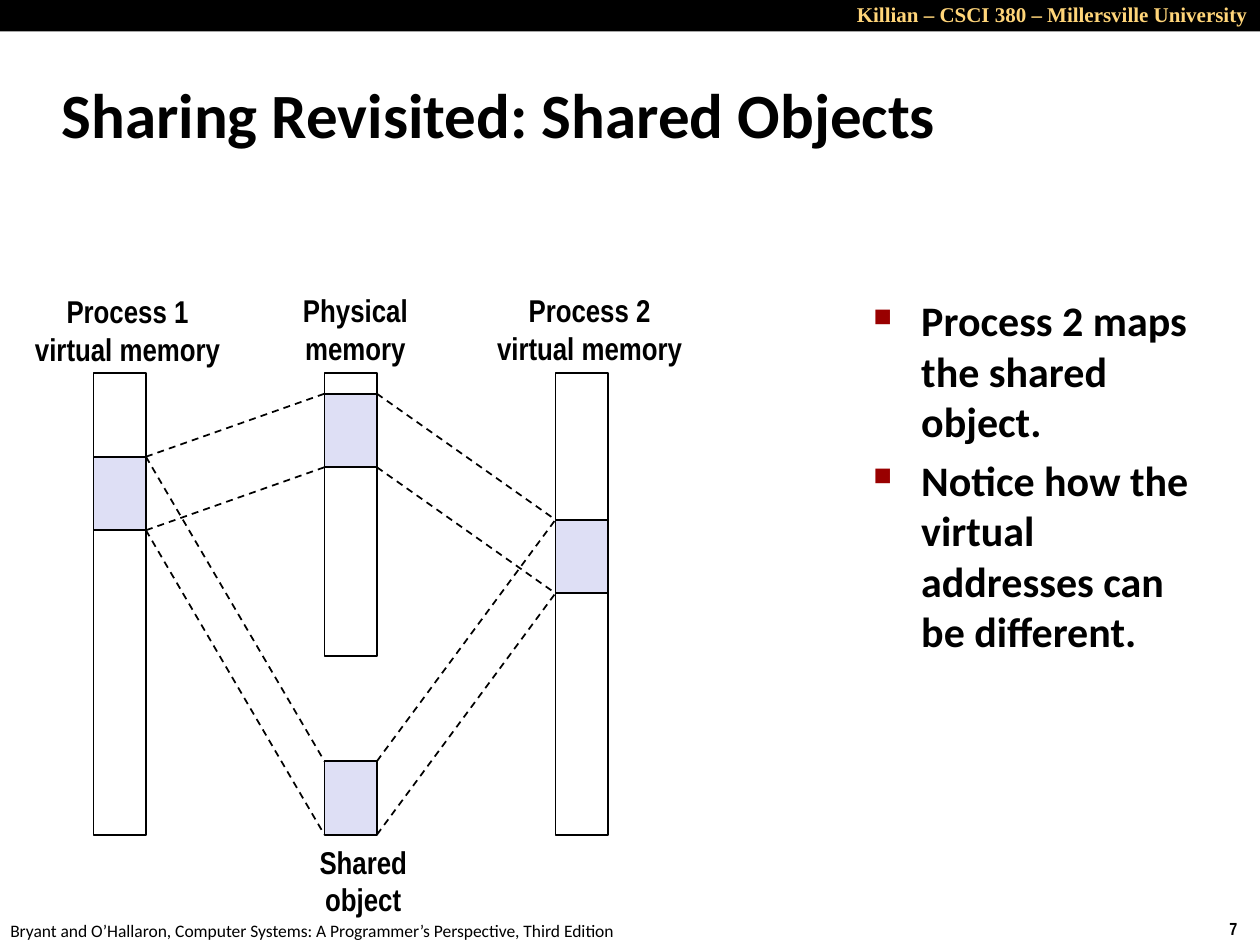
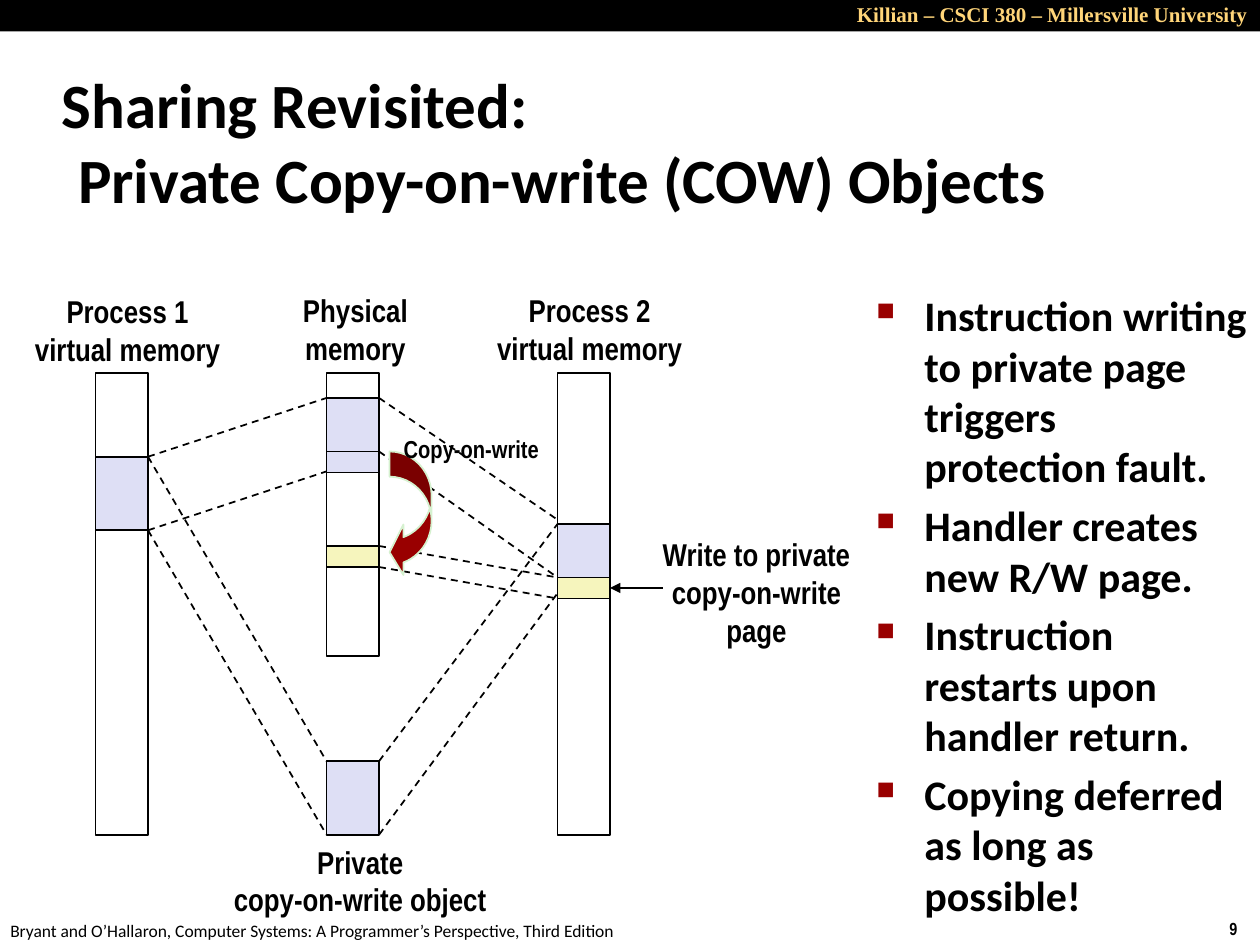
from dataclasses import dataclass
from typing import NamedTuple

from lxml import etree
from pptx import Presentation
from pptx import util as u
from pptx.dml.color import RGBColor
from pptx.enum import dml, shapes, text
from pptx.oxml import ns

# Colours and fonts
BLACK = RGBColor(0x00, 0x00, 0x00)
GOLD = RGBColor(0xFF, 0xD5, 0x79)
LILAC = RGBColor(0xDE, 0xDF, 0xF5)
YELLOW = RGBColor(0xF6, 0xF5, 0xBD)
DARK_RED = RGBColor(0x99, 0x00, 0x00)
PALE_GREEN = RGBColor(0xD5, 0xF1, 0xCF)
BODY_FONT, LABEL_FONT, HEADER_FONT = "Calibri", "Arial Narrow", "Times New Roman"

# Slide grid: 120 columns by 90 rows
SLIDE_WIDTH, SLIDE_HEIGHT = u.Inches(10), u.Inches(7.5)
CELL = SLIDE_WIDTH / 120

# Memory bars: three equal steps; rows inside them count from the bar top
BAR_TOP, BAR_WIDTH, BAR_STEP = 35.5, 5, 22
PROCESS_1, MIDDLE, PROCESS_2 = range(3)
BAR_HEIGHTS = {MIDDLE: 27, PROCESS_1: 44, PROCESS_2: 44}
REGION_ROWS, PAGE_ROWS, OBJECT_ROW = 7, 2, 37


class Box(NamedTuple):
    left: float
    top: float
    width: float
    height: float


class Label(NamedTuple):
    words: str
    box: Box
    size: int = 18


class Block(NamedTuple):
    bar: int
    row: float
    rows: float = REGION_ROWS
    color: RGBColor = LILAC


class Link(NamedTuple):
    """Dashed line from the right edge of one bar to the left edge of the next."""
    bar: int
    row: float
    next_row: float


@dataclass
class SharingSlide:
    number: int
    title: str
    title_rows: float
    bars_left: float
    blocks: list[Block]
    links: list[Link]
    labels: list[Label]
    points: list[str]
    points_box: Box
    copies_page: bool = False


COMMON_LABELS = [
    Label("Process 1\nvirtual memory", Box(2, 27.2, 20.3, 8.5)),
    Label("Physical\nmemory", Box(27.6, 27.1, 12.5, 8.5)),
    Label("Process 2\nvirtual memory", Box(46, 27.1, 20.3, 8.5)),
]

SLIDES = [
    SharingSlide(
        7, "Sharing Revisited: Shared Objects", 10, 8.9,
        blocks=[Block(MIDDLE, OBJECT_ROW), Block(MIDDLE, 2),
                Block(PROCESS_1, 8), Block(PROCESS_2, 14)],
        links=[Link(PROCESS_1, 8, 37), Link(PROCESS_1, 15, 44),
               Link(MIDDLE, 37, 14), Link(MIDDLE, 44, 21),
               Link(PROCESS_1, 8, 2), Link(PROCESS_1, 15, 9),
               Link(MIDDLE, 2, 14), Link(MIDDLE, 9, 21)],
        labels=[Label("Shared\nobject", Box(29.2, 79.6, 10.8, 8.5))],
        points=["Process 2 maps the shared object.",
                "Notice how the virtual addresses can be different."],
        points_box=Box(82, 27.5, 34.8, 60.5),
    ),
    SharingSlide(
        9, "Sharing Revisited:\vPrivate Copy-on-write (COW) Objects", 15.2, 9.1,
        blocks=[Block(MIDDLE, OBJECT_ROW), Block(MIDDLE, 2.4),
                Block(PROCESS_1, 8), Block(PROCESS_2, 14.4),
                Block(MIDDLE, 7.5, PAGE_ROWS),
                Block(PROCESS_2, 19.5, PAGE_ROWS, YELLOW),
                Block(MIDDLE, 16.5, PAGE_ROWS, YELLOW)],
        links=[Link(PROCESS_1, 8, 37), Link(PROCESS_1, 15, 44),
               Link(MIDDLE, 37, 14.4), Link(MIDDLE, 44, 21),
               Link(PROCESS_1, 8, 2.4), Link(PROCESS_1, 15, 9.4),
               Link(MIDDLE, 2.4, 14), Link(MIDDLE, 7.5, 19.5),
               Link(MIDDLE, 16.5, 19.5), Link(MIDDLE, 18.5, 21.5)],
        labels=[Label("Private\ncopy-on-write object", Box(20.9, 79.6, 26.8, 8.5)),
                Label("Copy-on-write", Box(37.2, 40.7, 15.4, 4.1), 14),
                Label("Write to private\ncopy-on-write\npage",
                      Box(61.8, 50.3, 20.5, 12.1))],
        points=["Instruction writing to private page triggers protection fault.",
                "Handler creates new R/W page.",
                "Instruction restarts upon handler return.",
                "Copying deferred as long as possible!"],
        points_box=Box(82.3, 27, 37.7, 59.2),
        copies_page=True,
    ),
]


def cells(*counts: float) -> list[u.Emu]:
    return [u.Emu(round(count * CELL)) for count in counts]


def add_block(slide, box: Box, fill: RGBColor | None = None,
              line: RGBColor | None = BLACK,
              kind=shapes.MSO_SHAPE.RECTANGLE):
    block = slide.shapes.add_shape(kind, *cells(*box))
    block.shadow.inherit = False
    if fill is None:
        block.fill.background()
    else:
        block.fill.solid()
        block.fill.fore_color.rgb = fill
    if line is None:
        block.line.fill.background()
    else:
        block.line.color.rgb = line
        block.line.width = u.Pt(1)
    return block


def add_words(slide, words: str, box: Box, size: float, font: str = BODY_FONT,
              color: RGBColor = BLACK, bold: bool = True, wrap: bool = True,
              align=text.PP_ALIGN.LEFT, anchor=text.MSO_ANCHOR.TOP):
    frame = slide.shapes.add_textbox(*cells(*box)).text_frame
    frame.word_wrap = wrap
    frame.vertical_anchor = anchor
    frame.text = words
    for paragraph in frame.paragraphs:
        paragraph.alignment = align
        for run in paragraph.runs:
            run.font.size = u.Pt(size)
            run.font.name = font
            run.font.bold = bold
            run.font.color.rgb = color
    return frame


def add_line(slide, start: tuple[float, float], end: tuple[float, float],
             arrow: bool = False) -> None:
    line = slide.shapes.add_connector(
        shapes.MSO_CONNECTOR.STRAIGHT, *cells(*start, *end))
    line.line.color.rgb = BLACK
    line.line.width = u.Pt(1)
    if arrow:
        etree.SubElement(line.line._get_or_add_ln(), ns.qn("a:tailEnd"), type="triangle")
    else:
        line.line.dash_style = dml.MSO_LINE.DASH
    etree.SubElement(line._element.spPr, ns.qn("a:effectLst"))


def hang(paragraph, indent: float):
    properties = paragraph._p.get_or_add_pPr()
    properties.set("marL", str(u.Inches(indent)))
    properties.set("indent", str(-u.Inches(indent)))
    return properties


def add_frame(slide, number: int) -> None:
    """Header band and footer shared by the slides."""
    add_block(slide, Box(0, 0, 120, 3), BLACK, None)
    add_words(slide, "Killian – CSCI 380 – Millersville University",
              Box(74, -0.4, 46, 3.6), 12, HEADER_FONT, GOLD,
              align=text.PP_ALIGN.RIGHT)
    add_words(slide, str(number), Box(115.9, 86.8, 4.1, 3.2), 10, LABEL_FONT,
              wrap=False)
    add_words(slide, "Bryant and O’Hallaron, Computer Systems: "
              "A Programmer’s Perspective, Third Edition",
              Box(-0.2, 87, 61, 3.2), 10, bold=False, wrap=False)


def add_points(slide, points: list[str], box: Box) -> None:
    frame = add_words(slide, "\n".join(points), box, 24)
    for paragraph in frame.paragraphs:
        paragraph.space_before = u.Pt(4.8)
        properties = hang(paragraph, 0.38)
        bullet_color = etree.SubElement(properties, ns.qn("a:buClr"))
        etree.SubElement(bullet_color, ns.qn("a:srgbClr"), val=str(DARK_RED))
        etree.SubElement(properties, ns.qn("a:buSzPct"), val="60000")
        etree.SubElement(properties, ns.qn("a:buChar"), char="■")


def add_memory(slide, content: SharingSlide) -> None:
    def bar_left(bar: int) -> float:
        return content.bars_left + bar * BAR_STEP

    for bar, rows in BAR_HEIGHTS.items():
        add_block(slide, Box(bar_left(bar), BAR_TOP, BAR_WIDTH, rows))
    for bar, row, rows, color in content.blocks:
        add_block(slide, Box(bar_left(bar), BAR_TOP + row, BAR_WIDTH, rows), color)
    for bar, row, next_row in content.links:
        add_line(slide, (bar_left(bar) + BAR_WIDTH, BAR_TOP + row),
                 (bar_left(bar + 1), BAR_TOP + next_row))

    # Page copy in physical memory and the write that triggers it
    if content.copies_page:
        copy_arrow = add_block(slide, Box(37.1, BAR_TOP + 7.5, 4, 12), DARK_RED,
                               PALE_GREEN, shapes.MSO_SHAPE.CURVED_LEFT_ARROW)
        for index, share in enumerate((0.6, 1.2, 0.33)):
            copy_arrow.adjustments[index] = share
        page_right = bar_left(PROCESS_2) + BAR_WIDTH
        write_row = BAR_TOP + 20.5
        add_line(slide, (page_right + 5, write_row), (page_right, write_row), arrow=True)

    for words, box, size in COMMON_LABELS + content.labels:
        add_words(slide, words, box, size, LABEL_FONT, wrap=False,
                  align=text.PP_ALIGN.CENTER, anchor=text.MSO_ANCHOR.MIDDLE)


def main() -> None:
    deck = Presentation()
    deck.slide_width, deck.slide_height = SLIDE_WIDTH, SLIDE_HEIGHT
    for content in SLIDES:
        slide = deck.slides.add_slide(deck.slide_layouts[6])
        add_frame(slide, content.number)
        title = add_words(slide, content.title, Box(4.7, 5.8, 99.6, content.title_rows),
                          36, anchor=text.MSO_ANCHOR.MIDDLE)
        hang(title.paragraphs[0], 0.13)
        add_memory(slide, content)
        add_points(slide, content.points, content.points_box)
    deck.save("out.pptx")


if __name__ == "__main__":
    main()
